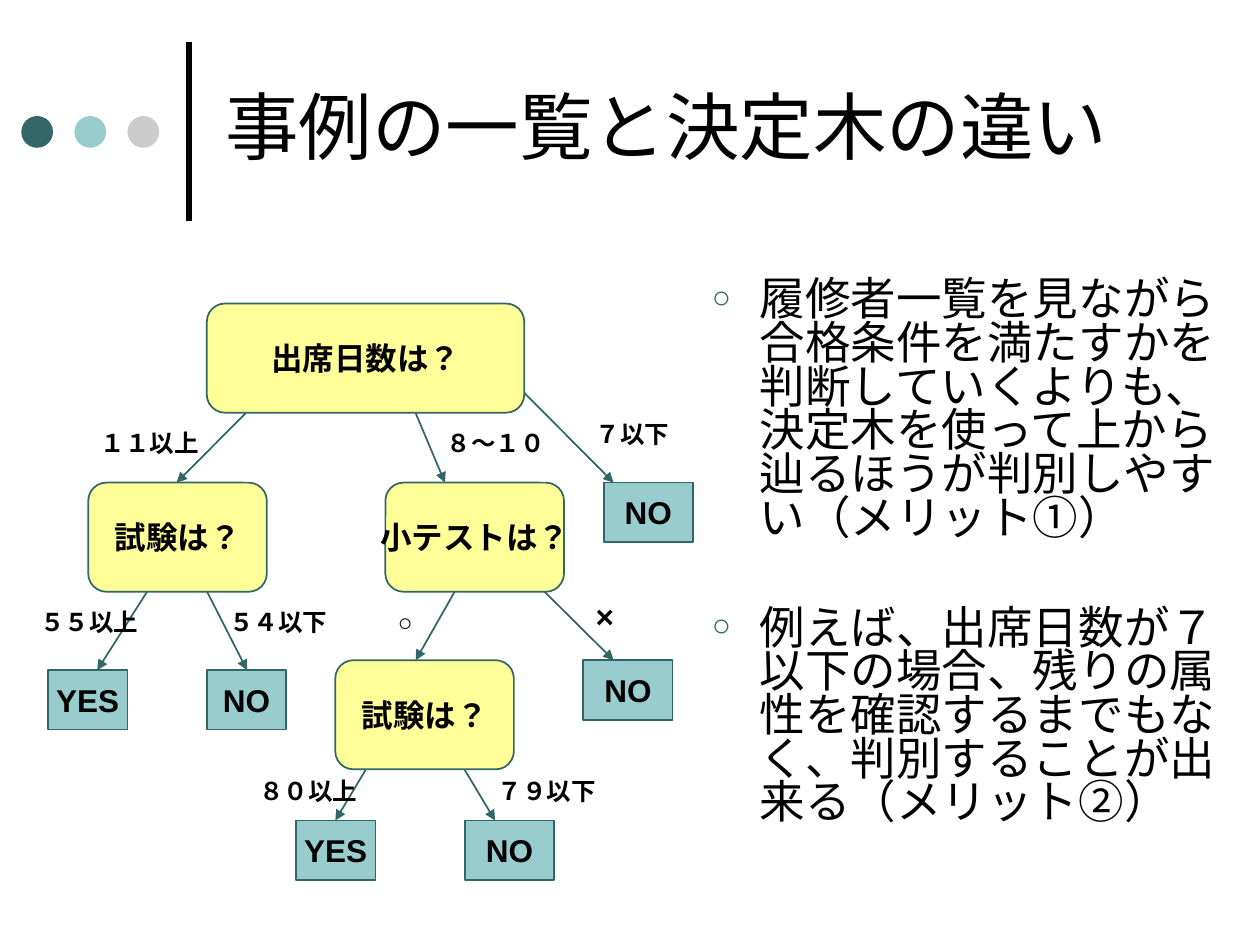
"""Build a slide that compares a list of cases with a decision tree."""
import pptx
import pptx.dml.color
import pptx.enum.lang
import pptx.enum.shapes
import pptx.enum.text
import pptx.oxml
import pptx.oxml.ns
import pptx.util

Cm, Pt = pptx.util.Cm, pptx.util.Pt
RGB = pptx.dml.color.RGBColor.from_string
SHAPE = pptx.enum.shapes.MSO_SHAPE
ALIGN = pptx.enum.text.PP_ALIGN
ANCHOR = pptx.enum.text.MSO_ANCHOR
NS = pptx.oxml.ns.nsdecls("a")
COLORS = {"text": "000000", "teal": "336666", "aqua": "99CCCC",
          "grey": "CCCCCC", "yellow": "FFFF99"}


def write(p, text, size=18, bold=False, align=ALIGN.LEFT):
    p.alignment = align
    r = p.add_run()
    r.text = text
    r.font.name = "Arial"
    r.font.size = Pt(size)
    r.font.bold = bold
    r.font.color.rgb = RGB(COLORS["text"])
    r.font.language_id = pptx.enum.lang.MSO_LANGUAGE_ID.JAPANESE
    r.font._element.append(pptx.oxml.parse_xml(f'<a:ea {NS} typeface="Arial"/>'))


def draw_line(x1, y1, x2, y2, color, width, arrow=False):
    line = s.shapes.add_connector(pptx.enum.shapes.MSO_CONNECTOR.STRAIGHT,
                                  Cm(x1), Cm(y1), Cm(x2), Cm(y2))
    line.line.color.rgb = RGB(COLORS[color])
    line.line.width = Pt(width)
    if arrow:
        line.line._get_or_add_ln().append(
            pptx.oxml.parse_xml(f'<a:tailEnd {NS} type="triangle"/>'))
    line._element.spPr.append(pptx.oxml.parse_xml(f"<a:effectLst {NS}/>"))


prs = pptx.Presentation()
prs.slide_width, prs.slide_height = Cm(25.4), Cm(19.05)
s = prs.slides.add_slide(prs.slide_layouts[6])

draw_line(3.81, 4.45, 3.81, 0.84, "text", 3)
for i, color in enumerate(["teal", "aqua", "grey"]):
    dot = s.shapes.add_shape(SHAPE.OVAL, Cm(0.43 + 1.07 * i), Cm(2.34), Cm(0.64), Cm(0.64))
    dot.shadow.inherit = False
    dot.fill.solid()
    dot.fill.fore_color.rgb = RGB(COLORS[color])
    dot.line.fill.background()

tf = s.shapes.add_textbox(Cm(4.29), Cm(0.53), Cm(19.81), Cm(3.99)).text_frame
tf.word_wrap = True
tf.vertical_anchor = ANCHOR.MIDDLE
write(tf.paragraphs[0], "事例の一覧と決定木の違い", size=42)

merits = [
    ("履修者一覧を見ながら合格条件を満たすかを判断していくよりも、"
     "決定木を使って上から辿るほうが判別しやすい（メリット①）", 6.5),
    ("例えば、出席日数が７以下の場合、残りの属性を確認するまでもなく、"
     "判別することが出来る（メリット②）", 38),
]
tf = s.shapes.add_textbox(Cm(14.1), Cm(5.54), Cm(10.8), Cm(12.19)).text_frame
tf.word_wrap = True
for i, (text, space) in enumerate(merits):
    p = tf.add_paragraph() if i else tf.paragraphs[0]
    p.line_spacing = 0.8
    p.space_before = Pt(space)
    write(p, text, size=26)
    pPr = p._p.get_or_add_pPr()
    pPr.set("marL", str(Cm(0.97)))
    pPr.set("indent", str(-Cm(0.97)))
    for bullet in [f'<a:buClr {NS}><a:srgbClr val="{COLORS["teal"]}"/></a:buClr>',
                   f'<a:buSzPct {NS} val="70000"/>',
                   f'<a:buFont {NS} typeface="Arial"/>',
                   f'<a:buChar {NS} char="○"/>']:
        pPr.append(pptx.oxml.parse_xml(bullet))

arrows = [
    (4.95, 8.33, 3.56, 9.73), (8.38, 8.33, 8.97, 9.73), (10.57, 7.92, 12.37, 9.73),
    (2.97, 11.92, 1.96, 13.51), (4.17, 11.92, 4.98, 13.51),
    (9.17, 11.92, 8.38, 13.31), (10.97, 11.92, 12.37, 13.31),
    (7.37, 15.52, 6.76, 16.54), (9.37, 15.52, 9.98, 16.54),
]
for ends in arrows:
    draw_line(*ends, "teal", 1, arrow=True)

questions = [("出席日数は？", 4.17, 6.12, 6.4), ("試験は？", 1.78, 9.73, 3.6),
             ("小テストは？", 7.77, 9.73, 3.6), ("試験は？", 6.76, 13.31, 3.6)]
answers = [("NO", 12.17, 9.73, 1.8), ("YES", 0.97, 13.51, 1.6), ("NO", 4.17, 13.51, 1.6),
           ("NO", 11.76, 13.31, 1.8), ("YES", 5.97, 16.54, 1.6), ("NO", 9.37, 16.54, 1.8)]
for nodes, kind, height, color in [(questions, SHAPE.ROUNDED_RECTANGLE, 2.2, "yellow"),
                                   (answers, SHAPE.RECTANGLE, 1.2, "aqua")]:
    for text, x, y, width in nodes:
        sp = s.shapes.add_shape(kind, Cm(x), Cm(y), Cm(width), Cm(height))
        sp.shadow.inherit = False
        sp.fill.solid()
        sp.fill.fore_color.rgb = RGB(COLORS[color])
        sp.line.color.rgb = RGB(COLORS["teal"])
        sp.line.width = Pt(1)
        tf = sp.text_frame
        tf.word_wrap = False
        tf.vertical_anchor = ANCHOR.MIDDLE
        write(tf.paragraphs[0], text, bold=True, align=ALIGN.CENTER)

branches = [
    ("１１以上", 1.78, 8.51, 14), ("８～１０", 8.76, 8.51, 14), ("７以下", 11.76, 8.33, 14),
    ("５５以上", 0.56, 12.12, 14), ("５４以下", 4.37, 12.12, 14),
    ("○", 7.77, 12.12, 14), ("×", 11.76, 11.92, 18),
    ("８０以上", 4.98, 15.52, 14), ("７９以下", 9.78, 15.52, 14),
]
for text, x, y, size in branches:
    tf = s.shapes.add_textbox(Cm(x), Cm(y), Cm(2.6), Cm(0.86)).text_frame
    tf.word_wrap = True
    write(tf.paragraphs[0], text, size=size, bold=True)

prs.save("out.pptx")
